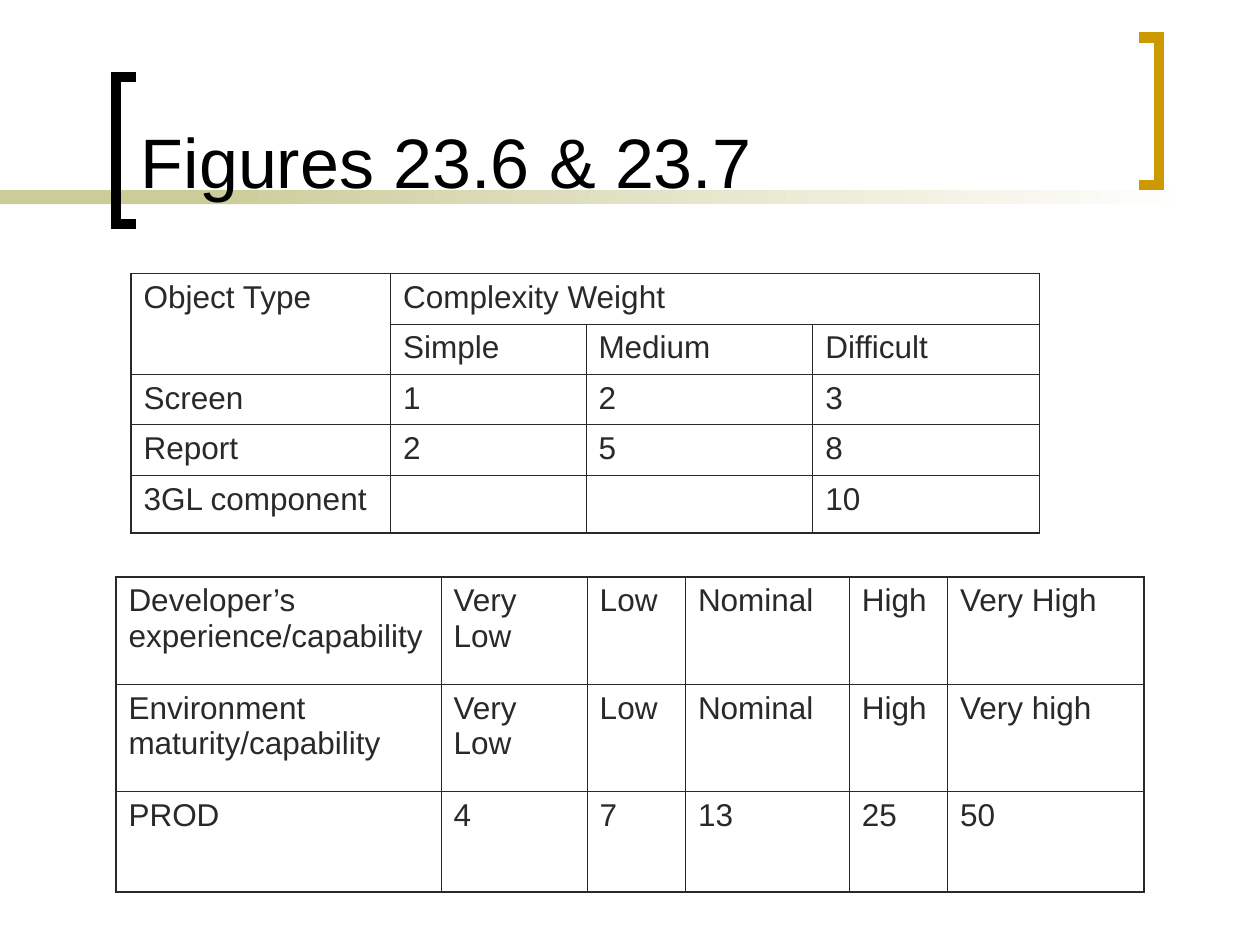
import pptx
import pptx.util
import pptx.dml.color
import pptx.enum.shapes
import pptx.enum.text
import pptx.oxml.ns
from lxml import etree
from pptx.util import Inches, Pt

COLORS = {"band": "CCCC99", "paper": "FFFFFF", "title": "000000",
          "accent": "CC9900", "ink": "292929"}
FONT = "Arial"
THIN, THICK = 0.45, 1.08


def rgb(name):
    return pptx.dml.color.RGBColor.from_string(COLORS[name])


def sub(parent, tag, **attributes):
    return etree.SubElement(parent, pptx.oxml.ns.qn(tag), attributes)


def write(frame, text, size, color):
    run = frame.paragraphs[0].add_run()
    run.text = text
    run.font.name = FONT
    run.font.size = Pt(size)
    run.font.color.rgb = rgb(color)


def add_band(slide, left, top, width, height, fades=False):
    band = slide.shapes.add_shape(pptx.enum.shapes.MSO_SHAPE.RECTANGLE,
                                  Inches(left), Inches(top), Inches(width), Inches(height))
    band.shadow.inherit = False
    band.line.fill.background()
    if fades:
        band.fill.gradient()
        band.fill.gradient_angle = 0
        for stop, color in zip(band.fill.gradient_stops, ("band", "paper")):
            stop.color.rgb = rgb(color)
    else:
        band.fill.solid()
        band.fill.fore_color.rgb = rgb("band")


def add_bracket(slide, left, top, width, height, color, opens_right):
    tip, spine = (left + width, left) if opens_right else (left, left + width)
    bottom = top + height
    builder = slide.shapes.build_freeform(Inches(tip), Inches(top))
    builder.add_line_segments([(Inches(spine), Inches(top)), (Inches(spine), Inches(bottom)),
                               (Inches(tip), Inches(bottom))], close=False)
    bracket = builder.convert_to_shape()
    bracket.shadow.inherit = False
    bracket.fill.background()
    bracket.line.color.rgb = rgb(color)
    bracket.line.width = Pt(6)
    sub(bracket.line._get_or_add_ln(), "a:miter", lim="800000")


def add_title(slide, left, top, width, height, text):
    title = slide.shapes.add_textbox(Inches(left), Inches(top), Inches(width), Inches(height))
    title.text_frame.word_wrap = True
    title.text_frame.vertical_anchor = pptx.enum.text.MSO_ANCHOR.BOTTOM
    write(title.text_frame, text, 40, "title")


def set_borders(cell, sides):
    """Draw the cell's sides; True marks an outer edge of the table."""
    properties = cell._tc.get_or_add_tcPr()
    for tag, outer in sides.items():
        line = sub(properties, tag, w=str(Pt(THICK if outer else THIN)))
        sub(sub(line, "a:solidFill"), "a:srgbClr", val=COLORS["ink"])


def add_grid(slide, left, top, columns, heights, rows, merges=()):
    grid = slide.shapes.add_table(len(heights), len(columns), Inches(left), Inches(top),
                                  Inches(sum(columns)), Inches(sum(heights))).table
    grid.first_row = grid.horz_banding = False
    for column, width in zip(grid.columns, columns):
        column.width = Inches(width)
    for row, height in zip(grid.rows, heights):
        row.height = Inches(height)
    for first, last in merges:
        grid.cell(*first).merge(grid.cell(*last))

    for r, texts in enumerate(rows):
        for c, text in enumerate(texts):
            cell = grid.cell(r, c)
            if not cell.is_spanned:
                across = cell.span_width if cell.is_merge_origin else 1
                down = cell.span_height if cell.is_merge_origin else 1
                set_borders(cell, {"a:lnL": c == 0, "a:lnR": c + across == len(columns),
                                   "a:lnT": r == 0, "a:lnB": r + down == len(heights)})
            cell.fill.background()
            if text:
                write(cell.text_frame, text, 18, "ink")


def main():
    deck = pptx.Presentation()
    deck.slide_width, deck.slide_height = Inches(10), Inches(7.5)
    slide = deck.slides.add_slide(deck.slide_layouts[6])

    # Band and brackets around the title
    add_band(slide, 0, 1.51, 2.33, 0.11)
    add_band(slide, 1.58, 1.51, 7.92, 0.11, fades=True)
    add_bracket(slide, 0.92, 0.61, 0.16, 1.17, "title", opens_right=True)
    add_bracket(slide, 9.04, 0.3, 0.16, 1.17, "accent", opens_right=False)
    add_title(slide, 1.02, 0.11, 7.83, 1.55, "Figures 23.6 & 23.7")

    # Complexity weights by object type
    add_grid(slide, 1.04, 2.17, [2.06, 1.55, 1.8, 1.8], [0.4] * 4 + [0.46], [
        ["Object Type", "Complexity Weight", "", ""],
        ["", "Simple", "Medium", "Difficult"],
        ["Screen", "1", "2", "3"],
        ["Report", "2", "5", "8"],
        ["3GL component", "", "", "10"],
    ], merges=[((0, 0), (1, 0)), ((0, 1), (0, 3))])

    # Productivity by experience and maturity
    add_grid(slide, 0.92, 4.58, [2.58, 1.16, 0.78, 1.3, 0.78, 1.56], [0.85, 0.85, 0.8], [
        ["Developer’s experience/capability", "Very Low", "Low", "Nominal", "High", "Very High"],
        ["Environment maturity/capability", "Very Low", "Low", "Nominal", "High", "Very high"],
        ["PROD", "4", "7", "13", "25", "50"],
    ])

    deck.save("out.pptx")


if __name__ == "__main__":
    main()
